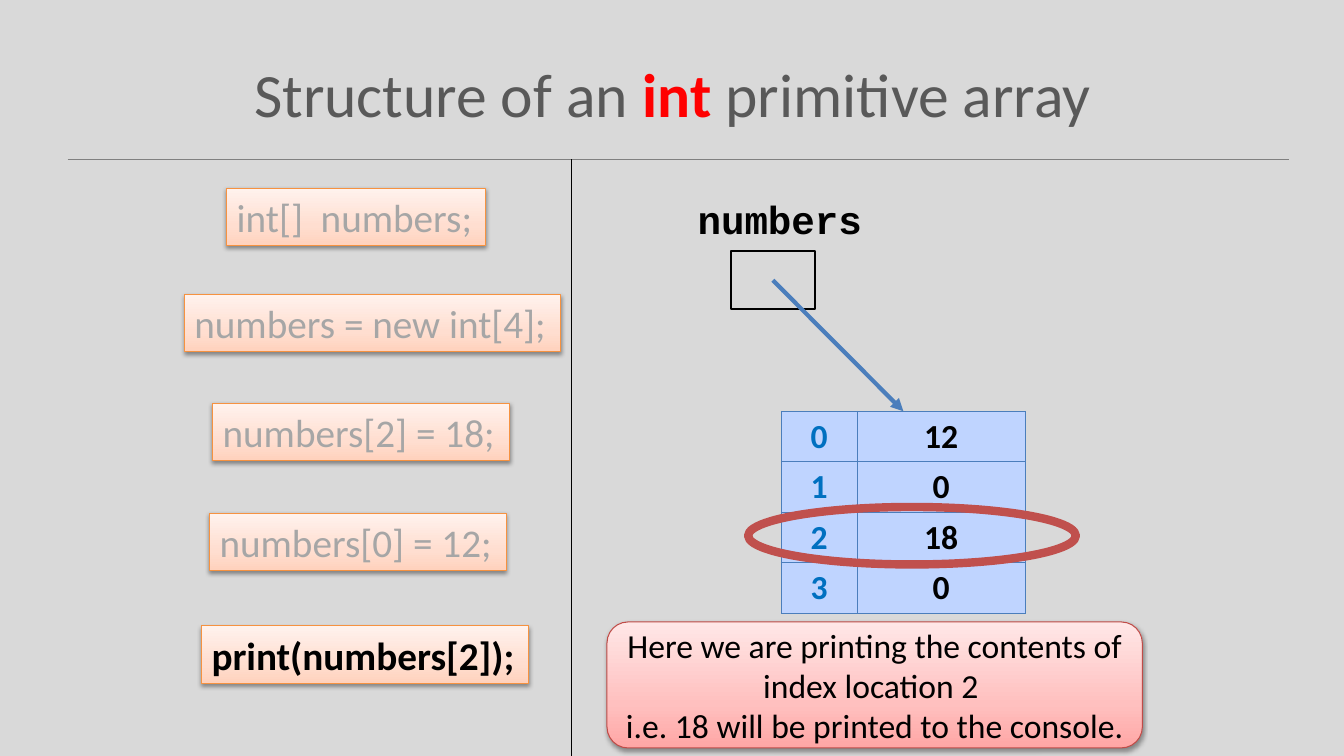
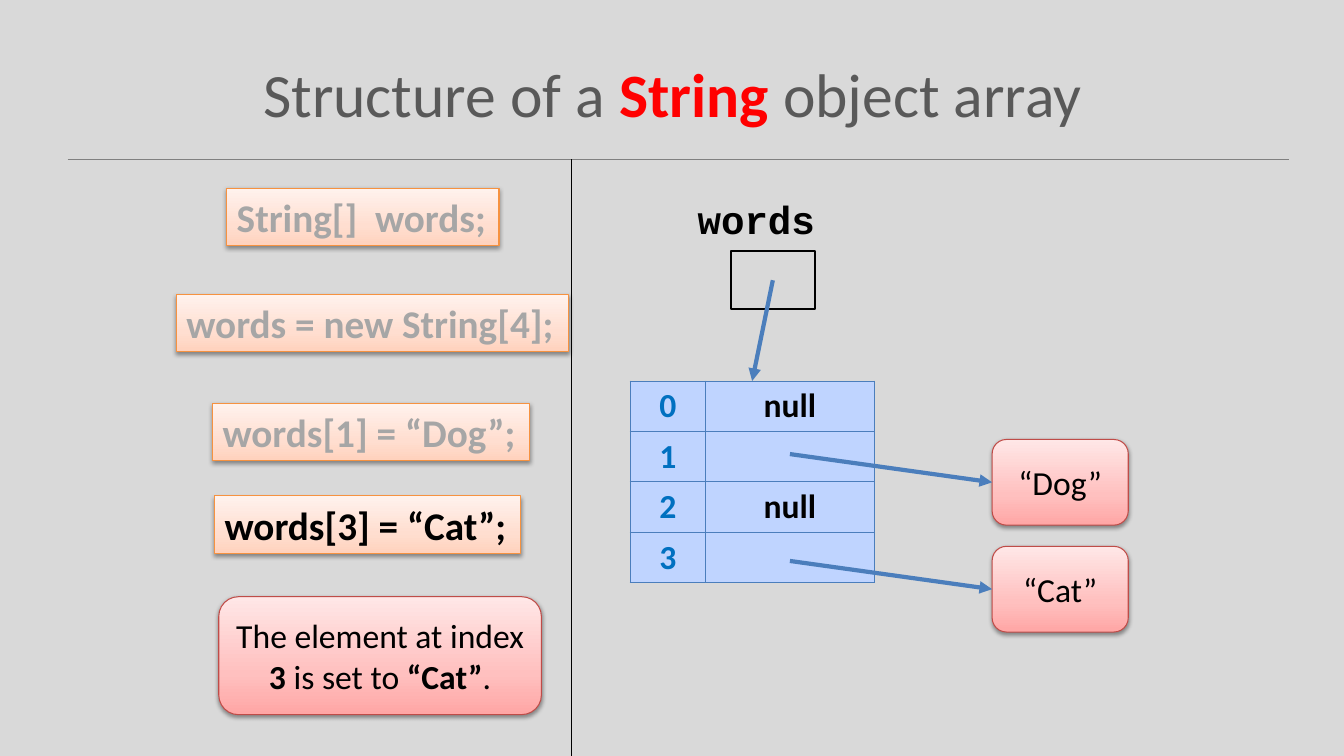
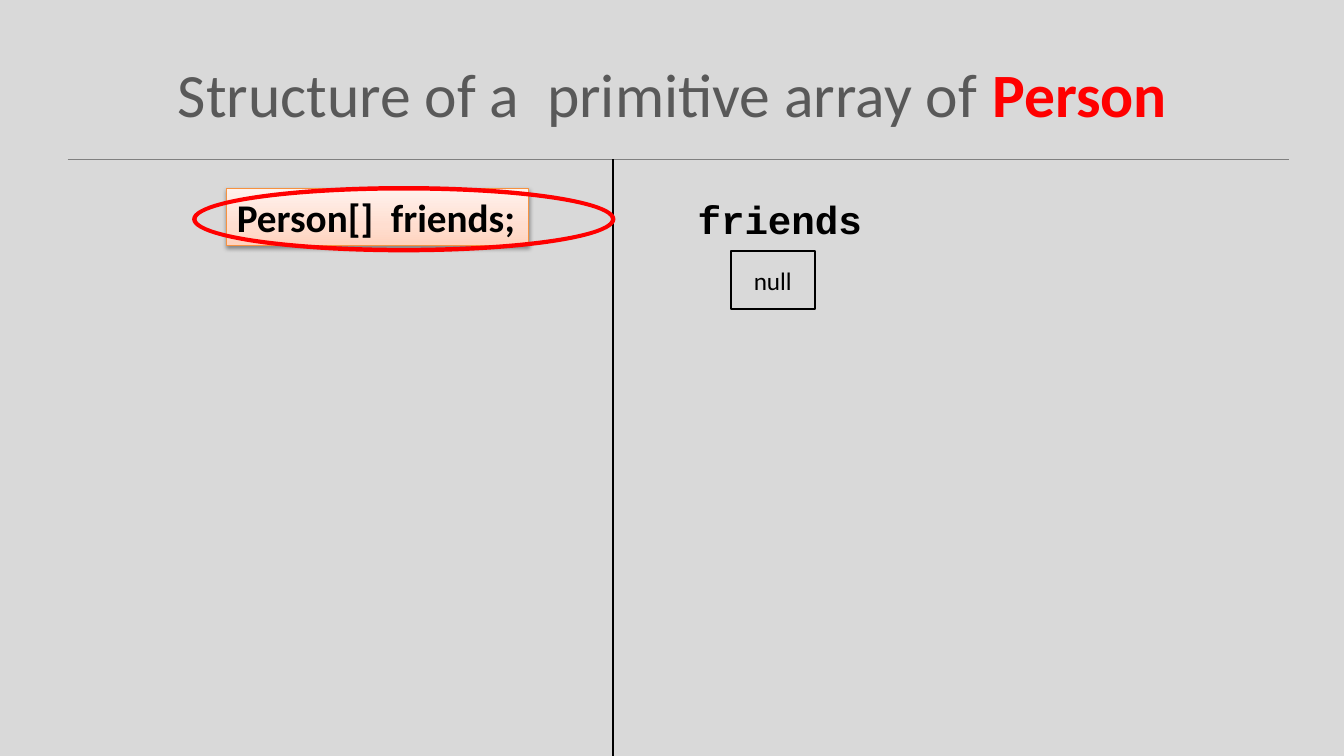
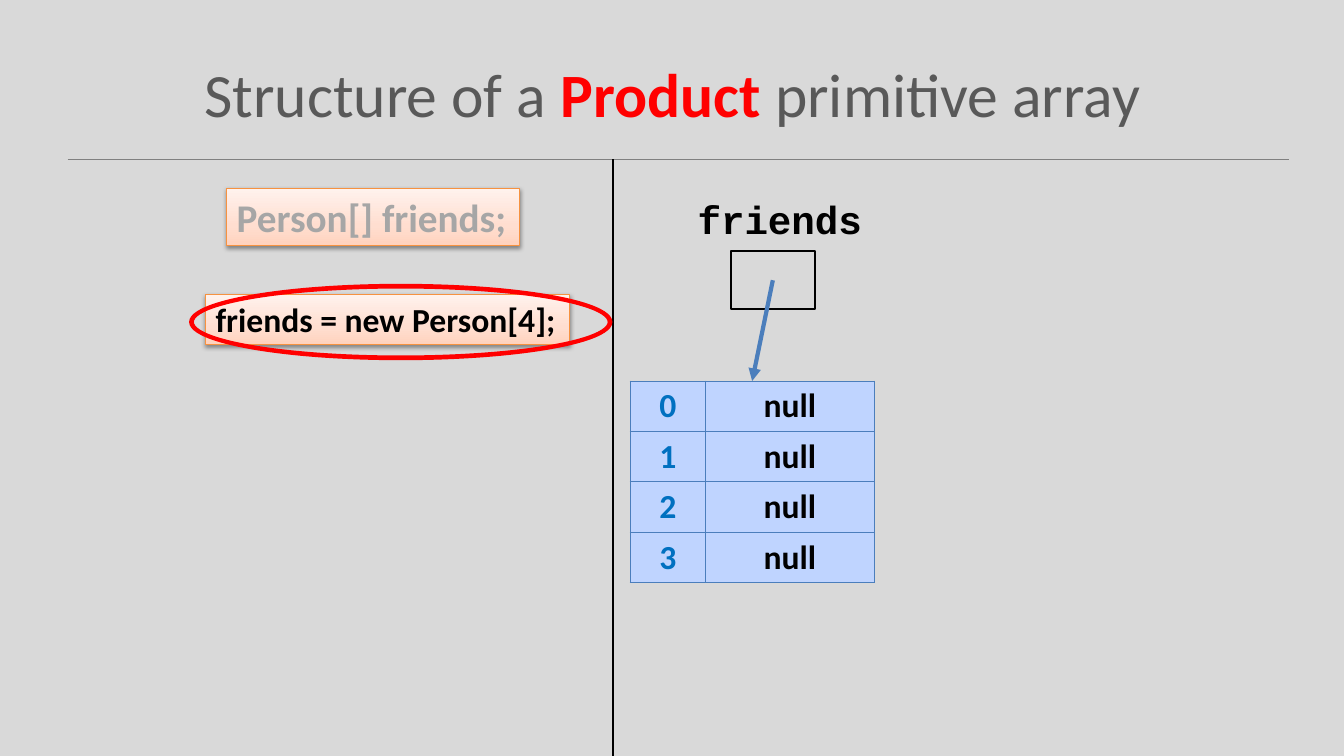
from copy import deepcopy

from lxml.etree import SubElement
from pptx import Presentation
from pptx.dml.color import RGBColor
from pptx.enum.shapes import MSO_CONNECTOR as Line, MSO_SHAPE as Shape
from pptx.enum.text import MSO_ANCHOR as Anchor, MSO_AUTO_SIZE as AutoSize, PP_ALIGN as Align
from pptx.oxml.ns import qn
from pptx.util import Inches, Pt

COLORS = {
    "background": "D9D9D9", "rule": "808080", "title": "595959", "red": "FF0000",
    "black": "000000", "faded": "A6A6A6", "index": "0070C0", "cell": "BFD4FF",
    "blue": "4B7EBC", "code line": "F69240", "note line": "BF4C48", "ring": "C0504D",
}
CODE_FILL = ["FFD2BD", "FFDED0", "FFF2ED"]
NOTE_FILL = ["FFA6A5", "FFC0BF", "FFE7E7"]
STOPS = [0, 0.35, 1]

WIDTH, HEIGHT = 13.33, 7.5
RULE_Y = 1.58
LABEL = (6.82, 1.89, 2.08, 0.57)
REFERENCE = (7.25, 2.49, 0.83, 0.58)
COLUMNS, ROW = (0.75, 1.67), 0.5
CARD_LEFT, CARD_SIZE, CARD_RISE = 9.84, (1.35, 0.85), 0.28

RED = {"color": "red", "bold": True}
BOLD = {"bold": True}
CURRENT = {"color": "black", "bold": True}
DONE = {"color": "faded", "bold": True}
DONE_PLAIN = {"color": "faded"}

# Text is a list of runs: plain strings, or (string, format) pairs.
# Code lines are (text, left, top, width, format).
SLIDES = [
    {
        "title": ["Structure of an ", ("int", RED), " primitive array"],
        "divider": 5.67,
        "code": [
            ("int[]  numbers;", 2.25, 1.87, 2.57, DONE_PLAIN),
            ("numbers = new int[4];", 1.83, 2.92, 3.73, DONE_PLAIN),
            ("numbers[2] = 18;", 2.11, 4, 2.94, DONE_PLAIN),
            ("numbers[0] = 12;", 2.08, 5.09, 2.94, DONE_PLAIN),
            ("print(numbers[2]);", 2, 6.21, 3.24, CURRENT),
        ],
        "variable": "numbers",
        "array": (7.75, 4.08, ["12", "0", "18", "0"]),
        "note": ((6.02, 6.17, 5.31, 1.25),
                 ["Here we are printing the contents of index location 2 \n"
                  "i.e. 18 will be printed to the console."]),
        "ellipse": (7.42, 5.03, 3.25, 0.57),
    },
    {
        "title": ["Structure of a ", ("String ", RED), "object array"],
        "divider": 5.67,
        "code": [
            ("String[]  words;", 2.25, 1.87, 2.7, DONE),
            ("words = new String[4];", 1.75, 2.92, 3.89, DONE),
            ("words[1] = “Dog”;", 2.11, 4, 3.14, DONE),
            ("words[3] = “Cat”;", 2.13, 4.92, 3.03, CURRENT),
        ],
        "variable": "words",
        "array": (6.25, 3.78, ["null", "", "null", ""]),
        "note": ((2.17, 5.92, 3.2, 1.17),
                 ["The element at index ", ("3 ", BOLD), "is set to ", ("“Cat”", BOLD), "."]),
        "cards": [("“Dog”", 4.36), ("“Cat”", 5.42)],
    },
    {
        "title": ["Structure of a  primitive array of ", ("Person", RED)],
        "divider": 6.08,
        "code": [("Person[]  friends;", 2.25, 1.87, 2.99, CURRENT)],
        "variable": "friends",
        "reference": "null",
        "donut": (1.92, 1.86, 4.17, 0.63),
    },
    {
        "title": ["Structure of a ", ("Product ", RED), "primitive array"],
        "divider": 6.08,
        "code": [
            ("Person[] friends;", 2.25, 1.87, 2.9, DONE),
            ("friends = new Person[4];", 2.04, 2.92, 3.61, {**CURRENT, "size": 24}),
        ],
        "variable": "friends",
        "array": (6.25, 3.78, ["null"] * 4),
        "donut": (1.89, 2.83, 4.17, 0.73),
    },
]


def rgb(name):
    return RGBColor.from_string(COLORS.get(name, name))


def inches(values):
    return [Inches(value) for value in values]


def write(frame, runs, size=24, color="black", bold=False, font="Calibri", align=Align.CENTER):
    para = frame.paragraphs[0]
    para.alignment = align
    for run in runs:
        text, own = (run, {}) if isinstance(run, str) else run
        for number, line in enumerate(text.split("\n")):
            if number:
                para.add_line_break()
            span = para.add_run()
            span.text = line
            span.font.name = font
            span.font.size = Pt(size)
            span.font.bold = own.get("bold", bold)
            span.font.color.rgb = rgb(own.get("color", color))


def add_text(page, place, runs, anchor=Anchor.TOP, **style):
    frame = page.shapes.add_textbox(*inches(place)).text_frame
    frame.word_wrap = True
    frame.vertical_anchor = anchor
    write(frame, runs, **style)


def add_shape(page, kind, place, line, weight, fill=None):
    shape = page.shapes.add_shape(kind, *inches(place))
    shape.shadow.inherit = False
    shape.line.color.rgb = rgb(line)
    shape.line.width = Pt(weight)
    if fill:
        shape.fill.solid()
        shape.fill.fore_color.rgb = rgb(fill)
    else:
        shape.fill.background()
    return shape


def add_raised(page, kind, place, line, colors):
    """Add a shape with an upward gradient and a soft shadow below it."""
    shape = add_shape(page, kind, place, line, 0.75)
    shape.fill.gradient()
    shape.fill.gradient_angle = 90
    properties = shape._element.spPr
    stop_list = properties.find(".//" + qn("a:gsLst"))
    stop_list.append(deepcopy(stop_list[0]))
    for stop, position, color in zip(shape.fill.gradient_stops, STOPS, colors):
        stop.position = position
        stop.color.rgb = rgb(color)
    shadow = SubElement(properties.find(qn("a:effectLst")), qn("a:outerShdw"),
                        blurRad="40000", dist="20000", dir="5400000", rotWithShape="0")
    black = SubElement(shadow, qn("a:srgbClr"), val=COLORS["black"])
    SubElement(black, qn("a:alpha"), val="38000")
    return shape


def add_line(page, start, end, color, weight, arrow=False):
    line = page.shapes.add_connector(Line.STRAIGHT, *inches([*start, *end]))
    line.line.color.rgb = rgb(color)
    line.line.width = Pt(weight)
    if arrow:
        SubElement(line.line._get_or_add_ln(), qn("a:tailEnd"), type="triangle")
    SubElement(line._element.spPr, qn("a:effectLst"))
    return line


def add_code(page, text, left, top, width, style):
    style = {"size": 28, **style}
    height = 0.57 if style["size"] == 28 else 0.5
    box = add_raised(page, Shape.RECTANGLE, (left, top, width, height), "code line", CODE_FILL)
    frame = box.text_frame
    frame.word_wrap = False
    frame.auto_size = AutoSize.SHAPE_TO_FIT_TEXT
    frame.vertical_anchor = Anchor.TOP
    write(frame, [text], align=Align.LEFT, **style)


def add_note(page, place, runs):
    note = add_raised(page, Shape.ROUNDED_RECTANGLE, place, "note line", NOTE_FILL)
    note.text_frame.word_wrap = True
    note.text_frame.vertical_anchor = Anchor.MIDDLE
    write(note.text_frame, runs)
    return note


def format_cell(cell, text, color):
    properties = cell._tc.get_or_add_tcPr()
    for side in ("lnL", "lnR", "lnT", "lnB"):
        border = SubElement(properties, qn("a:" + side), w=str(Pt(0.75)))
        fill = SubElement(border, qn("a:solidFill"))
        SubElement(fill, qn("a:srgbClr"), val=COLORS["blue"])
    cell.fill.solid()
    cell.fill.fore_color.rgb = rgb("cell")
    if text:
        write(cell.text_frame, [text], color=color, bold=True)


def add_array(page, left, top, values):
    """Draw the array as a table, with the arrow from its variable."""
    place = (left, top, sum(COLUMNS), ROW * len(values))
    table = page.shapes.add_table(len(values), 2, *inches(place)).table
    table.first_row = table.horz_banding = False
    for column, width in zip(table.columns, COLUMNS):
        column.width = Inches(width)
    for index, value in enumerate(values):
        table.rows[index].height = Inches(ROW)
        format_cell(table.cell(index, 0), str(index), "index")
        format_cell(table.cell(index, 1), value, "black")
    x, y, width, height = REFERENCE
    add_line(page, (x + width / 2, y + height / 2), (left + sum(COLUMNS) / 2, top),
             "blue", 3, arrow=True)


def add_card(page, array_left, text, top):
    """Draw an object and the arrow to it from its array element."""
    width, height = CARD_SIZE
    card = add_note(page, (CARD_LEFT, top, width, height), [text])
    middle = top + height / 2
    start = (array_left + COLUMNS[0] + COLUMNS[1] / 2, middle - CARD_RISE)
    arrow = add_line(page, start, (CARD_LEFT, middle), "blue", 3, arrow=True)
    arrow.end_connect(card, 1)


def add_page(deck, content):
    page = deck.slides.add_slide(deck.slide_layouts[6])
    add_line(page, (0.67, RULE_Y), (12.78, RULE_Y), "rule", 1)
    add_text(page, (0.67, 0.3, 12, 1.25), content["title"], anchor=Anchor.MIDDLE,
             size=44, color="title")
    add_line(page, (content["divider"], RULE_Y), (content["divider"], HEIGHT), "black", 1)
    for code in content["code"]:
        add_code(page, *code)

    add_text(page, LABEL, [content["variable"]], size=28, bold=True,
             font="Courier New", align=Align.LEFT)
    reference = add_shape(page, Shape.RECTANGLE, REFERENCE, "black", 1.5)
    if "reference" in content:
        write(reference.text_frame, [content["reference"]], size=18)
    if "array" in content:
        add_array(page, *content["array"])
    for card in content.get("cards", []):
        add_card(page, content["array"][0], *card)

    if "note" in content:
        add_note(page, *content["note"])
    if "ellipse" in content:
        add_shape(page, Shape.OVAL, content["ellipse"], "ring", 6)
    if "donut" in content:
        donut = add_shape(page, Shape.DONUT, content["donut"], "red", 2, fill="red")
        donut.adjustments[0] = 0.026


def main():
    deck = Presentation()
    deck.slide_width, deck.slide_height = inches((WIDTH, HEIGHT))
    backdrop = deck.slide_master.background.fill
    backdrop.solid()
    backdrop.fore_color.rgb = rgb("background")
    for content in SLIDES:
        add_page(deck, content)
    deck.save("out.pptx")


if __name__ == "__main__":
    main()
